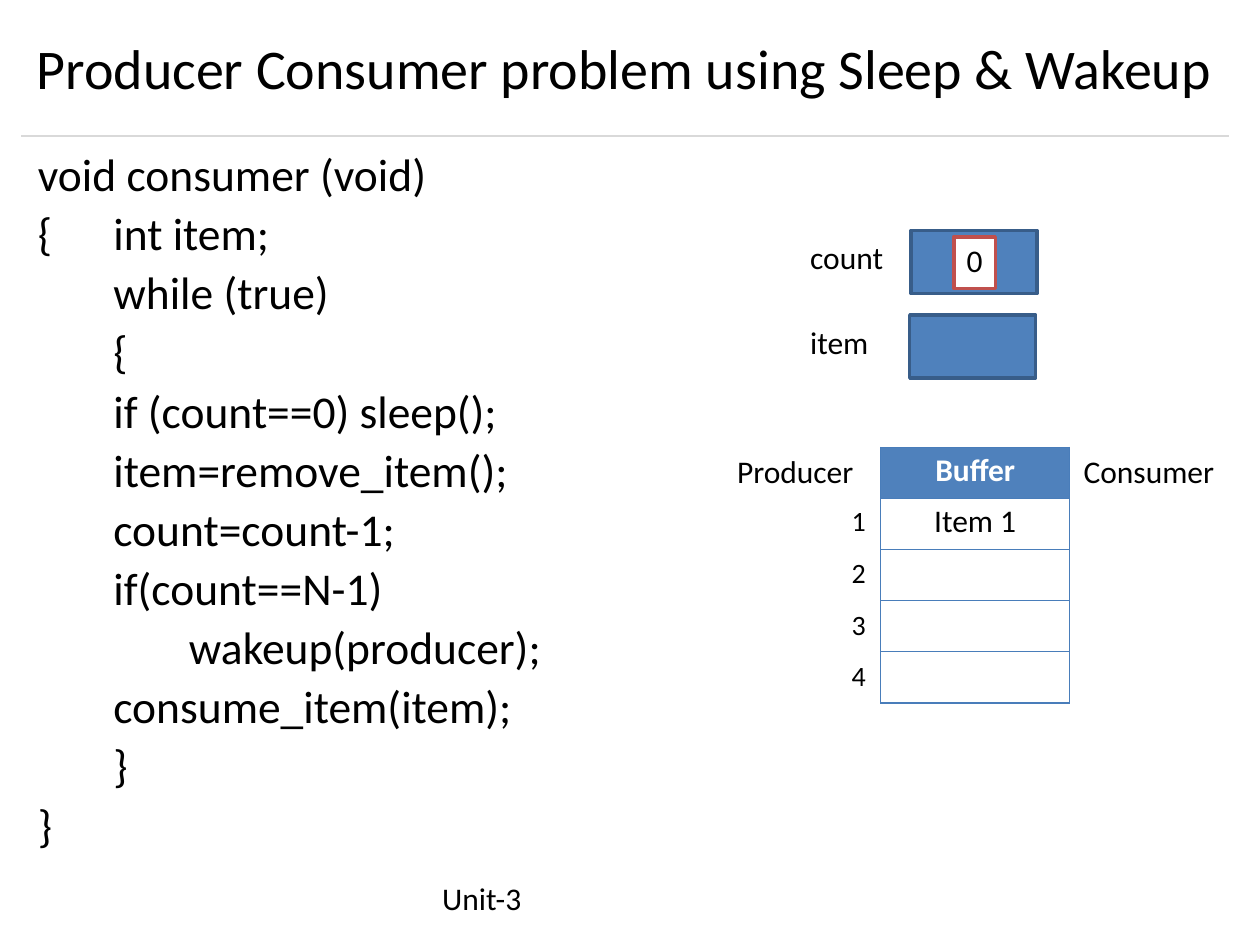
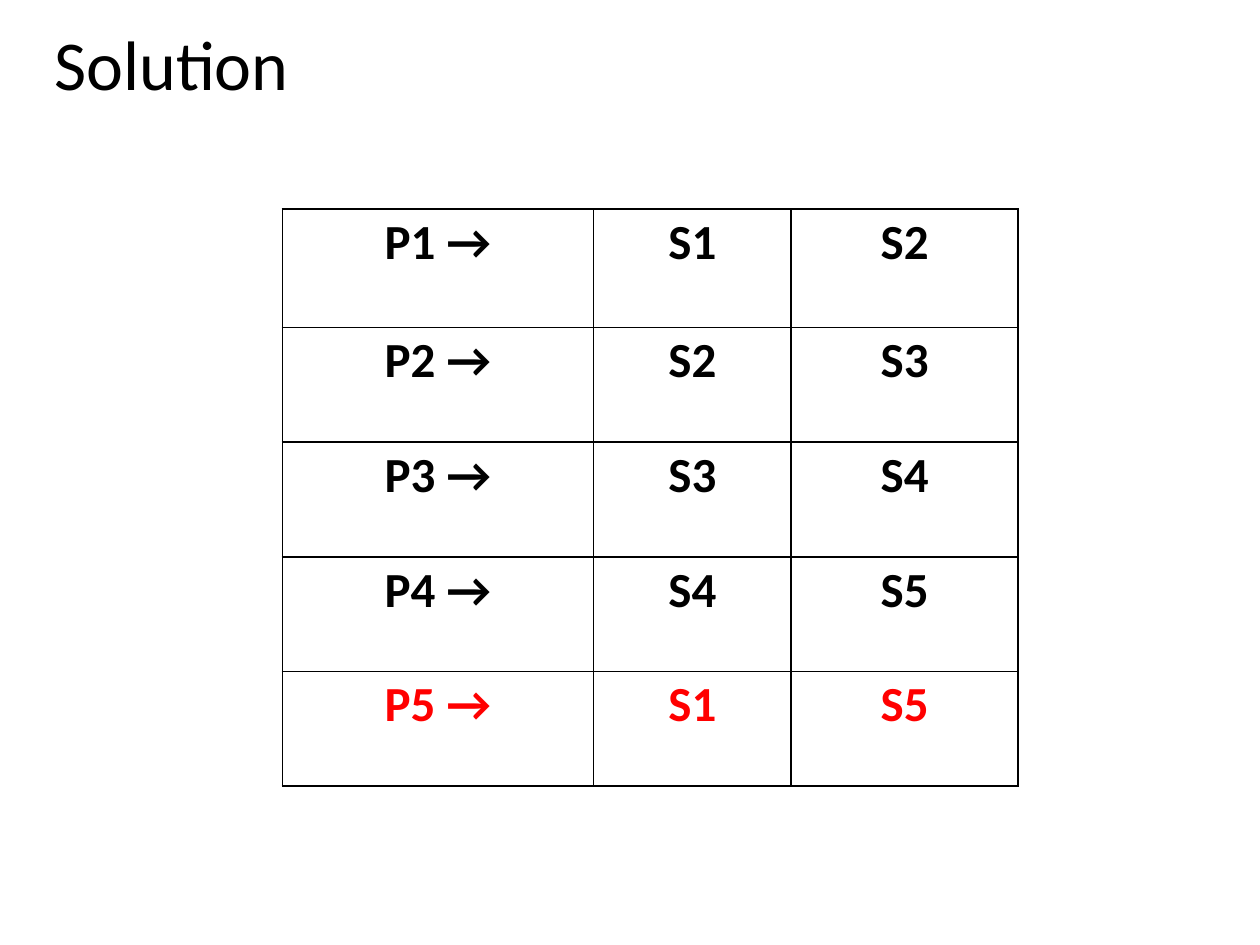
import pptx
import pptx.util
import pptx.dml.color
import pptx.enum.shapes
import pptx.enum.text
import pptx.oxml
import pptx.oxml.ns

Inches, Pt = pptx.util.Inches, pptx.util.Pt
Align = pptx.enum.text.PP_ALIGN
Kind = pptx.enum.shapes.MSO_SHAPE

HEX = {
    "ink": "000000", "paper": "FFFFFF", "alert": "FF0000",
    "blue": "4F81BC", "navy": "385D89", "grid": "497DBA",
    "red": "C0504D", "rule": "D9D9D9",
}
FONT = "Calibri"
WIDE, HIGH = 10, 7.5
LEFT = 0.29
TITLE = (LEFT, 0.14, 9.41, 0.76)
TAB = 0.6

# Each code line: indent level, text
CODE = [
    (0, "void consumer (void)"),
    (0, "{\tint item;"),
    (1, "while (true)"),
    (1, "{"),
    (1, "if (count==0) sleep();"),
    (1, "item=remove_item();"),
    (1, "count=count-1;"),
    (1, "if(count==N-1)"),
    (2, "wakeup(producer);"),
    (1, "consume_item(item);"),
    (1, "}"),
    (0, "}"),
]
# Each label: text, left, top, width
LABELS = [
    ("count", 6.43, 1.89, 0.7),
    ("item", 6.43, 2.56, 0.6),
    ("Producer", 5.85, 3.59, 1.1),
    ("Consumer", 8.6, 3.59, 1.2),
    ("Unit-3", 3.51, 6.98, 0.8),
]
# Each box: text, place, fill, edge
BOXES = [
    ("", (7.23, 1.83, 1, 0.5), "blue", "navy"),
    ("0", (7.57, 1.88, 0.33, 0.41), "paper", "red"),
    ("", (7.22, 2.5, 1, 0.5), "blue", "navy"),
]
BUFFER = [["Buffer"], ["Item 1"], [""], [""], [""]]
NEEDS = [
    ["P1 →", "S1", "S2"],
    ["P2 →", "S2", "S3"],
    ["P3 →", "S3", "S4"],
    ["P4 →", "S4", "S5"],
    ["P5 →", "S1", "S5"],
]


def tint(name):
    return pptx.dml.color.RGBColor.from_string(HEX[name])


def paint(fill, name):
    fill.solid()
    fill.fore_color.rgb = tint(name)


def put(target, values):
    for name, value in values.items():
        setattr(target, name, value)


def style(para, size, ink="ink", bold=False, align=Align.LEFT):
    para.alignment = align
    put(para.font, {"name": FONT, "size": Pt(size), "bold": bold})
    para.font.color.rgb = tint(ink)


def inset(target, left=0, top=0):
    put(target, {"margin_left": Inches(left), "margin_top": Inches(top),
                 "margin_right": 0, "margin_bottom": 0})


def frame(shape, left=0, top=0):
    """Give a shape's text frame its insets, wrapping and top anchor."""
    text = shape.text_frame
    inset(text, left, top)
    put(text, {"word_wrap": True,
               "vertical_anchor": pptx.enum.text.MSO_ANCHOR.TOP})
    return text


def write(slide, text, place, size, left=0, top=0):
    shape = slide.shapes.add_textbox(*map(Inches, place))
    para = frame(shape, left, top).paragraphs[0]
    para.text = text
    style(para, size)


def list_code(slide):
    area = slide.shapes.add_textbox(*map(Inches, (LEFT, 1.16, 4.6, 5.7)))
    text = frame(area)
    for row, (level, line) in enumerate(CODE):
        para = text.add_paragraph() if row else text.paragraphs[0]
        para.text = line
        style(para, 26)
        para.space_after = Pt(2.6)
        hang = "\t" in line
        props = para._p.get_or_add_pPr()
        props.set("marL", str(Inches(0.01 + TAB * (level + hang))))
        props.set("indent", str(Inches(-TAB if hang else 0)))


def draw_box(slide, text, place, fill, edge):
    box = slide.shapes.add_shape(Kind.RECTANGLE, *map(Inches, place))
    box.shadow.inherit = False
    paint(box.fill, fill)
    paint(box.line.fill, edge)
    box.line.width = Pt(2.04)
    if text:
        para = frame(box, top=0.03).paragraphs[0]
        para.text = text
        style(para, 18, align=Align.CENTER)


def draw_rule(slide, left, right, top):
    line = slide.shapes.add_connector(
        pptx.enum.shapes.MSO_CONNECTOR.STRAIGHT,
        *map(Inches, (left, top, right, top)))
    paint(line.line.fill, "rule")
    line.line.width = Pt(0.72)
    line._element.spPr.append(pptx.oxml.parse_xml(
        f"<a:effectLst {pptx.oxml.ns.nsdecls('a')}/>"))


def edge_cell(cell, name, width):
    """Draw all four borders; they must come before the cell's fill."""
    props = cell._tc.get_or_add_tcPr()
    for spot, side in enumerate(("lnL", "lnR", "lnT", "lnB")):
        props.insert(spot, pptx.oxml.parse_xml(
            f"<a:{side} {pptx.oxml.ns.nsdecls('a')} w='{Pt(width)}'>"
            f"<a:solidFill><a:srgbClr val='{HEX[name]}'/></a:solidFill>"
            f"</a:{side}>"))


def add_grid(slide, rows, spot, cols, heights, size, edge, width, looks):
    """Add a table; looks maps a row number to (ink, bold, fill)."""
    place = (*spot, sum(cols), sum(heights))
    grid = slide.shapes.add_table(
        len(rows), len(cols), *map(Inches, place)).table
    put(grid, {"first_row": False, "horz_banding": False})
    for col, span in zip(grid.columns, cols):
        col.width = Inches(span)
    for row, span in zip(grid.rows, heights):
        row.height = Inches(span)
    for r, texts in enumerate(rows):
        ink, bold, fill = looks.get(r, looks["other"])
        for c, text in enumerate(texts):
            cell = grid.cell(r, c)
            cell.text = text
            inset(cell, top=0.03)
            style(cell.text_frame.paragraphs[0], size, ink, bold,
                  Align.CENTER)
            if fill:
                paint(cell.fill, fill)
            else:
                cell.fill.background()
            edge_cell(cell, edge, width)


def build_code(slide):
    write(slide, "Producer Consumer problem using Sleep & Wakeup",
          TITLE, 32, top=0.13)
    draw_rule(slide, 0.17, 9.75, 1.08)
    list_code(slide)
    add_grid(slide, BUFFER, (6.99, 3.55), [1.5], [2.03 / 5] * 5, 18,
             "grid", 0.75, {0: ("paper", True, "blue"),
                            "other": ("ink", False, None)})
    for text, left, top, wide in LABELS:
        write(slide, text, (left, top, wide, 0.32), 18)
    for slot in range(4):
        write(slide, str(slot + 1), (6.76, 4 + 0.41 * slot, 0.2, 0.28), 16)
    for box in BOXES:
        draw_box(slide, *box)


def build_needs(slide):
    write(slide, "Solution", TITLE, 40, left=0.14, top=0.02)
    add_grid(slide, NEEDS, (2.24, 1.66), [2.47, 1.57, 1.8],
             [0.94] + [0.91] * 4, 28, "ink", 1,
             {4: ("alert", True, None), "other": ("ink", True, None)})


def main():
    deck = pptx.Presentation()
    put(deck, {"slide_width": Inches(WIDE), "slide_height": Inches(HIGH)})
    for build in (build_code, build_needs):
        build(deck.slides.add_slide(deck.slide_layouts[6]))
    deck.save("out.pptx")


if __name__ == "__main__":
    main()
